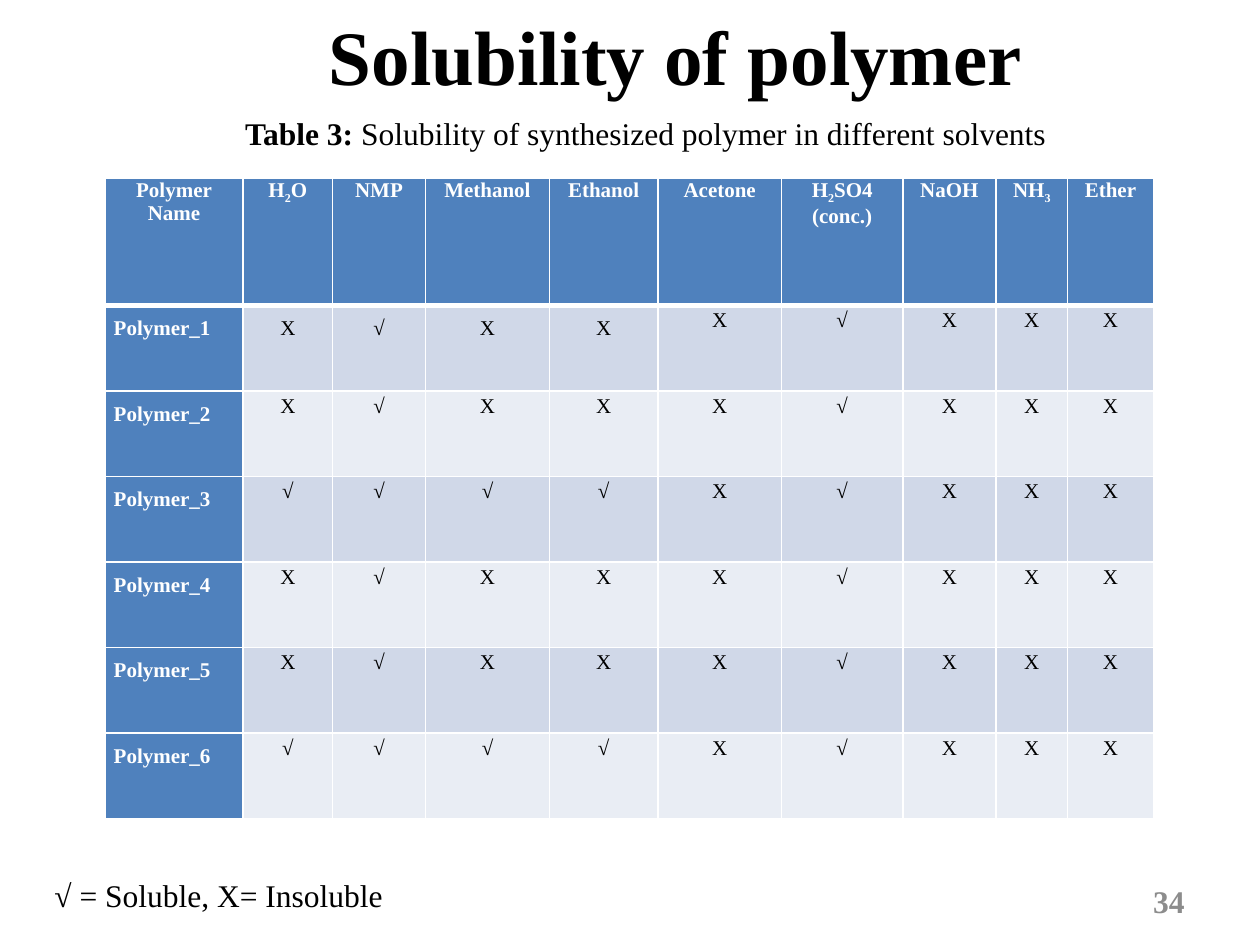
from lxml.etree import SubElement
from pptx import Presentation
from pptx.dml.color import RGBColor
from pptx.enum.text import MSO_ANCHOR as Anchor, MSO_AUTO_SIZE as AutoSize, PP_ALIGN as Align
from pptx.oxml.ns import qn
from pptx.util import Pt

FONT = "Times New Roman"
COLORS = {
    "text": "000000",
    "number": "8C8C8C",
    "light": "FFFFFF",
    "header": "4F81BD",
    "odd_row": "D0D8E8",
    "even_row": "E9EDF4",
}

# Each header is a list of lines; in a line every second part is a subscript
HEADERS = [
    [["Polymer"], ["Name"]],
    [["H", "2", "O"]],
    [["NMP"]],
    [["Methanol"]],
    [["Ethanol"]],
    [["Acetone"]],
    [["H", "2", "SO4"], ["(conc.)"]],
    [["NaOH"]],
    [["NH", "3"]],
    [["Ether"]],
]
RESULTS = ["X√XXX√XXX", "X√XXX√XXX", "√√√√X√XXX"] * 2
COLUMN_WIDTHS = [79, 51, 53.25, 70.75, 62, 70.75, 69.25, 53.25, 41, 49]
HEADER_HEIGHT = 72.5


def format_paragraph(paragraph, size, color="text", bold=False, align=Align.LEFT):
    paragraph.alignment = align
    font = paragraph.font
    font.name, font.size, font.bold = FONT, Pt(size), bold
    font.color.rgb = RGBColor.from_string(COLORS[color])


def add_title(slide, box):
    title = slide.shapes.title
    title.left, title.top, title.width, title.height = map(Pt, box)
    frame = title.text_frame
    frame.text = "Solubility of polymer"
    frame.word_wrap = False
    frame.auto_size = AutoSize.NONE
    frame.vertical_anchor = Anchor.TOP
    format_paragraph(frame.paragraphs[0], 44, bold=True)


def add_text(slide, box, text, anchor=Anchor.MIDDLE, **style):
    frame = slide.shapes.add_textbox(*map(Pt, box)).text_frame
    frame.word_wrap = True
    frame.vertical_anchor = anchor
    paragraph = frame.paragraphs[0]
    paragraph.add_run().text = text
    format_paragraph(paragraph, 18, **style)
    return paragraph


def add_caption(slide, box):
    paragraph = add_text(slide, box, "Table 3: ", Anchor.TOP, align=Align.CENTER)
    paragraph.runs[0].font.bold = True
    paragraph.add_run().text = "Solubility of synthesized polymer in different solvents"


def style_cell(cell, fill, top=1, bottom=1):
    cell.margin_left = cell.margin_right = Pt(5)
    cell.margin_top = cell.margin_bottom = 0
    properties = cell._tc.get_or_add_tcPr()
    for side, width in (("L", 1), ("R", 1), ("T", top), ("B", bottom)):
        line = SubElement(properties, qn(f"a:ln{side}"), w=str(Pt(width)))
        line_fill = SubElement(line, qn("a:solidFill"))
        SubElement(line_fill, qn("a:srgbClr"), val=COLORS["light"])
    cell.fill.solid()
    cell.fill.fore_color.rgb = RGBColor.from_string(COLORS[fill])


def fill_header(cell, lines):
    style_cell(cell, "header", bottom=3)
    frame = cell.text_frame
    for index, parts in enumerate(lines):
        paragraph = frame.add_paragraph() if index else frame.paragraphs[0]
        for position, part in enumerate(parts):
            run = paragraph.add_run()
            run.text = part
            if position % 2:
                run._r.get_or_add_rPr().set("baseline", "-25000")
        format_paragraph(paragraph, 12, "light", True, Align.CENTER)


def add_solubility_table(slide, box):
    frame = slide.shapes.add_table(len(RESULTS) + 1, len(HEADERS), *map(Pt, box))
    table = frame.table
    for column, width in zip(table.columns, COLUMN_WIDTHS):
        column.width = Pt(width)
    for index, row in enumerate(table.rows):
        row.height = Pt((box[3] - HEADER_HEIGHT) / len(RESULTS) if index else HEADER_HEIGHT)

    for column, lines in enumerate(HEADERS):
        fill_header(table.cell(0, column), lines)

    for row, marks in enumerate(RESULTS, 1):
        band = "odd_row" if row % 2 else "even_row"
        for column, text in enumerate([f"Polymer_{row}", *marks]):
            cell = table.cell(row, column)
            style_cell(cell, band if column else "header", top=3 if row == 1 else 1)
            paragraph = cell.text_frame.paragraphs[0]
            paragraph.add_run().text = text
            if column:
                format_paragraph(paragraph, 12, align=Align.CENTER)
            else:
                format_paragraph(paragraph, 12, "light", True)
            tall = column == 0 or (row == 1 and column < 5)
            paragraph.line_spacing = 1.5 if tall else 1.15


def main():
    presentation = Presentation()
    presentation.slide_width, presentation.slide_height = Pt(720), Pt(540)
    slide = presentation.slides.add_slide(presentation.slide_layouts[5])

    # Heading
    add_title(slide, (180.75, 1.5, 414.75, 60.5))
    # Legend and slide number
    add_text(slide, (24, 497, 264, 29), "√ = Soluble, X= Insoluble", align=Align.JUSTIFY)
    add_text(slide, (516, 500.5, 168, 29), "34", color="number", bold=True, align=Align.RIGHT)
    # Table with its caption
    add_solubility_table(slide, (60, 102, 599.25, 366))
    add_caption(slide, (96, 61.5, 546, 29))

    presentation.save("out.pptx")


if __name__ == "__main__":
    main()
